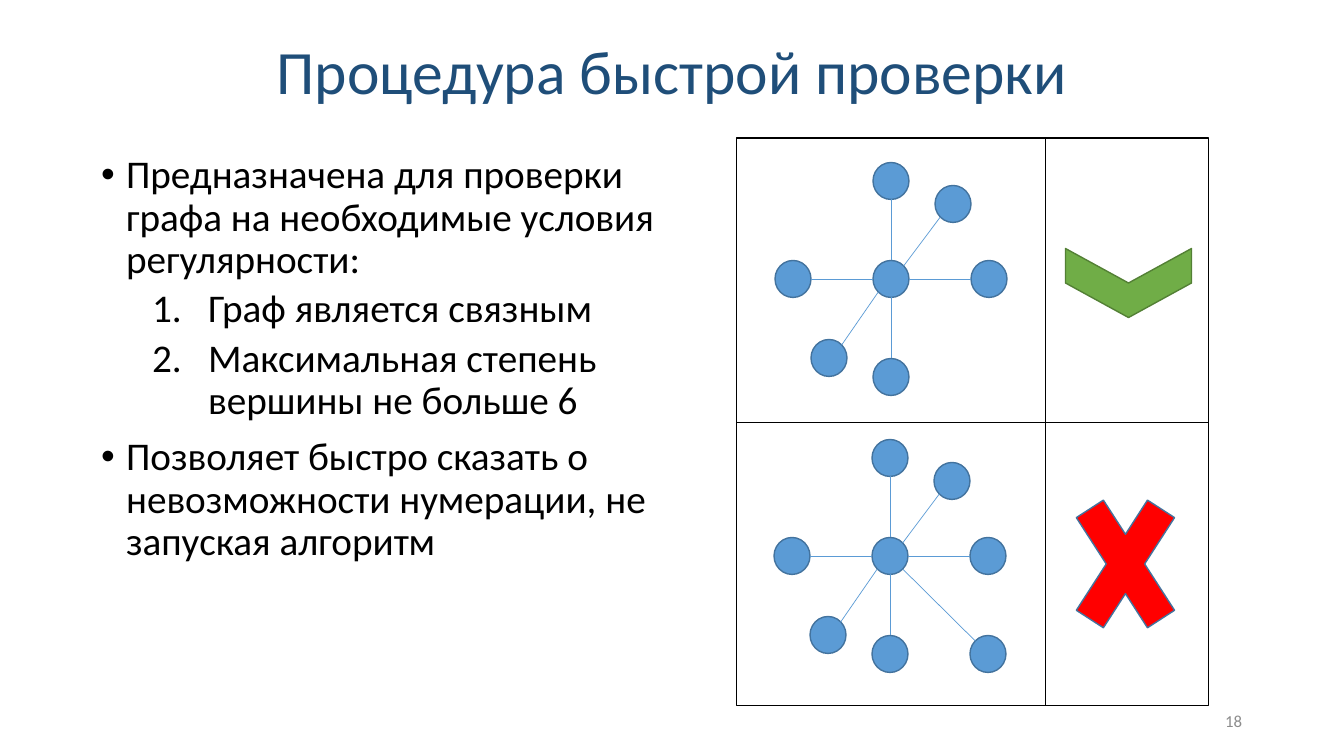
"""Build the slide on the quick check of a graph before numbering."""
import math

from lxml import etree
from pptx import Presentation
from pptx.dml.color import RGBColor
from pptx.enum.shapes import MSO_CONNECTOR, MSO_SHAPE
from pptx.enum.text import MSO_ANCHOR, MSO_AUTO_SIZE, PP_ALIGN
from pptx.oxml.ns import qn
from pptx.util import Emu, Pt

ELLIPSE, RECTANGLE = MSO_SHAPE.OVAL, MSO_SHAPE.RECTANGLE
CHEVRON, CROSS = MSO_SHAPE.CHEVRON, MSO_SHAPE.MATH_MULTIPLY
STRAIGHT, MIDDLE = MSO_CONNECTOR.STRAIGHT, MSO_ANCHOR.MIDDLE
CENTER, RIGHT = PP_ALIGN.CENTER, PP_ALIGN.RIGHT
FIXED_SIZE = MSO_AUTO_SIZE.NONE

EMU_PER_PX = 914400 / 100.8
FONT = "Calibri"
COLORS = {
    "title": "1F4E79", "text": "000000", "number": "8C8C8C", "frame": "000000",
    "node": "5B9BD5", "outline": "43739E",
    "pass": "70AD47", "pass outline": "538035", "fail": "FF0000",
}

TITLE = "Процедура быстрой проверки"
POINTS = [
    (0, "Предназначена для проверки графа на необходимые условия регулярности:"),
    (1, "Граф является связным"),
    (1, "Максимальная степень вершины не больше 6"),
    (0, "Позволяет быстро сказать о невозможности нумерации, не запуская алгоритм"),
]
LEVELS = [
    {"margin": 25, "hanging": 25, "before": 10, "bullet": ("a:buChar", {"char": "•"})},
    {"margin": 107, "hanging": 56, "before": 5,
     "bullet": ("a:buAutoNum", {"type": "arabicPeriod"})},
]
SLIDE_NUMBER = "18"

NODE_W, NODE_H = 36, 37
SIX_NEIGHBOURS = [(0, -98), (62, -75), (98, 0), (0, 98), (-98, 0), (-62, 79)]
GRAPHS = [
    ((891, 279), SIX_NEIGHBOURS),
    ((890, 556), SIX_NEIGHBOURS + [(98, 98)]),
]
FRAME = (737, 138, 472, 568)
VERDICT_X = 1045
VERDICTS = [
    (CHEVRON, (1094, 220, 69, 126), 90, "pass", "pass outline"),
    (CROSS, (1057, 458, 137, 212), 0, "fail", "outline"),
]


def px(value):
    return Emu(round(value * EMU_PER_PX))


def rgb(name):
    return RGBColor.from_string(COLORS[name])


def place(part, box):
    part.left, part.top, part.width, part.height = map(px, box)


def style(paragraph, size, color):
    font = paragraph.font
    font.name, font.size = FONT, Pt(size)
    font.color.rgb = rgb(color)


def add_figure(kind, box, fill, outline, width=1, rotation=0):
    figure = slide.shapes.add_shape(kind, *map(px, box))
    figure.shadow.inherit = False
    figure.rotation = rotation
    if fill:
        figure.fill.solid()
        figure.fill.fore_color.rgb = rgb(fill)
    else:
        figure.fill.background()
    figure.line.color.rgb = rgb(outline)
    figure.line.width = Pt(width)


def add_line(start, end, color):
    line = slide.shapes.add_connector(STRAIGHT, *map(px, (*start, *end)))
    line.line.color.rgb = rgb(color)
    line.line.width = Pt(0.5)
    etree.SubElement(line._element.spPr, qn("a:effectLst"))


def add_node(x, y):
    add_figure(ELLIPSE, (x - NODE_W / 2, y - NODE_H / 2, NODE_W, NODE_H), "node", "outline")


def rim_offset(dx, dy):
    """Return the offset to the nearest of the eight points on a node's rim."""
    reach = math.sqrt(0.5) if dx and dy else 1
    step_x, step_y = (dx > 0) - (dx < 0), (dy > 0) - (dy < 0)
    return step_x * reach * NODE_W / 2, step_y * reach * NODE_H / 2


def add_graph(hub, neighbours):
    x, y = hub
    add_node(x, y)
    for dx, dy in neighbours:
        add_node(x + dx, y + dy)
        rim_x, rim_y = rim_offset(dx, dy)
        add_line((x + rim_x, y + rim_y), (x + dx - rim_x, y + dy - rim_y), "node")


prs = Presentation()
prs.slide_width, prs.slide_height = px(1344), px(756)
slide = prs.slides.add_slide(prs.slide_layouts[1])

title, body = slide.placeholders
place(title, (0, 17, 1344, 115))
title.text_frame.text = TITLE
title.text_frame.vertical_anchor = MIDDLE
title.text_frame.auto_size = FIXED_SIZE
heading = title.text_frame.paragraphs[0]
heading.alignment, heading.line_spacing = CENTER, 0.9
style(heading, 44, "title")

place(body, (91, 150, 603, 543))
body.text_frame.text = "\n".join(text for _, text in POINTS)
body.text_frame.auto_size = FIXED_SIZE
for point, (level, _) in zip(body.text_frame.paragraphs, POINTS):
    layout = LEVELS[level]
    point.level, point.line_spacing = level, 0.9
    point.space_before = Pt(layout["before"])
    properties = point._p.get_or_add_pPr()
    properties.set("marL", str(px(layout["margin"])))
    properties.set("indent", str(-px(layout["hanging"])))
    tag, attributes = layout["bullet"]
    etree.SubElement(properties, qn(tag), attributes)
    style(point, 28, "text")

number = slide.shapes.add_textbox(*map(px, (950, 701, 302, 40))).text_frame
number.text, number.word_wrap = SLIDE_NUMBER, True
number.vertical_anchor = MIDDLE
number.paragraphs[0].alignment = RIGHT
style(number.paragraphs[0], 12, "number")

for hub, neighbours in GRAPHS:
    add_graph(hub, neighbours)
for kind, box, rotation, fill, outline in VERDICTS:
    add_figure(kind, box, fill, outline, rotation=rotation)

left, top, width, height = FRAME
add_figure(RECTANGLE, FRAME, None, "frame", 0.75)
add_line((left, top + height / 2), (left + width, top + height / 2), "frame")
add_line((VERDICT_X, top), (VERDICT_X, top + height), "frame")

prs.save("out.pptx")
